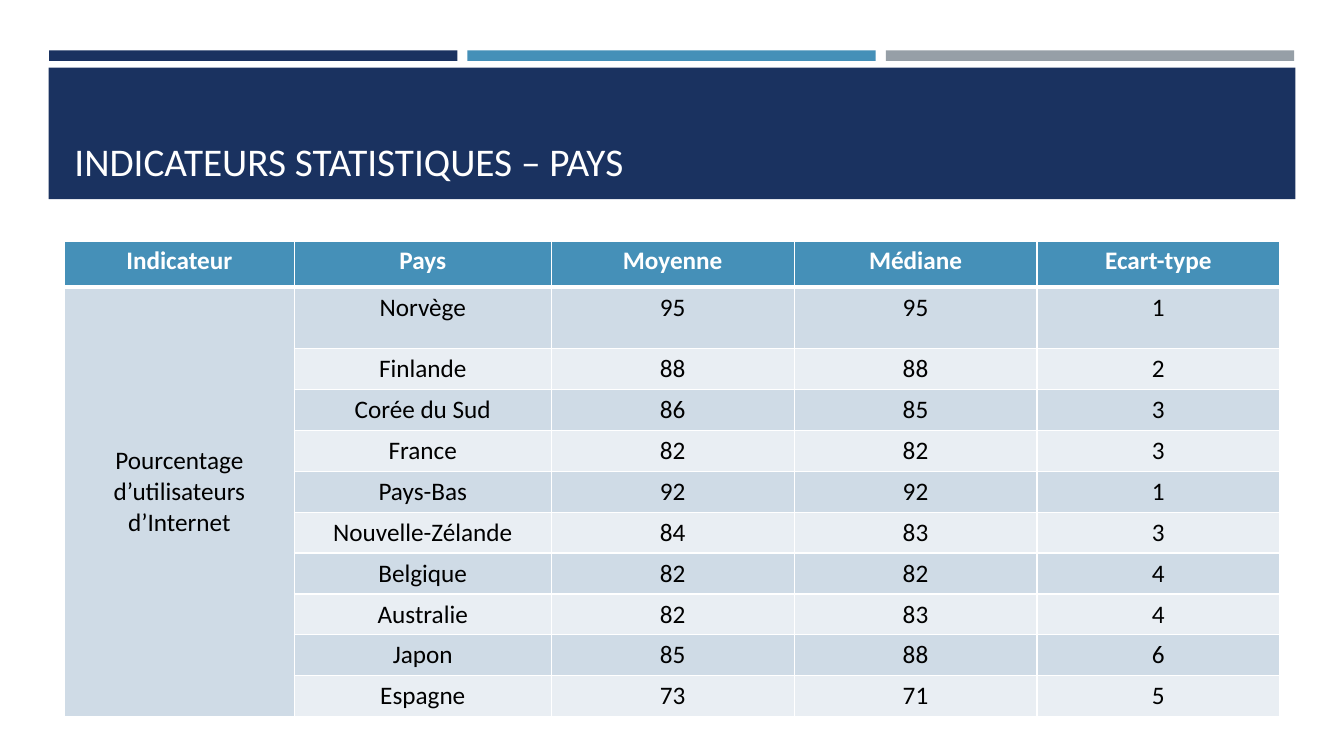
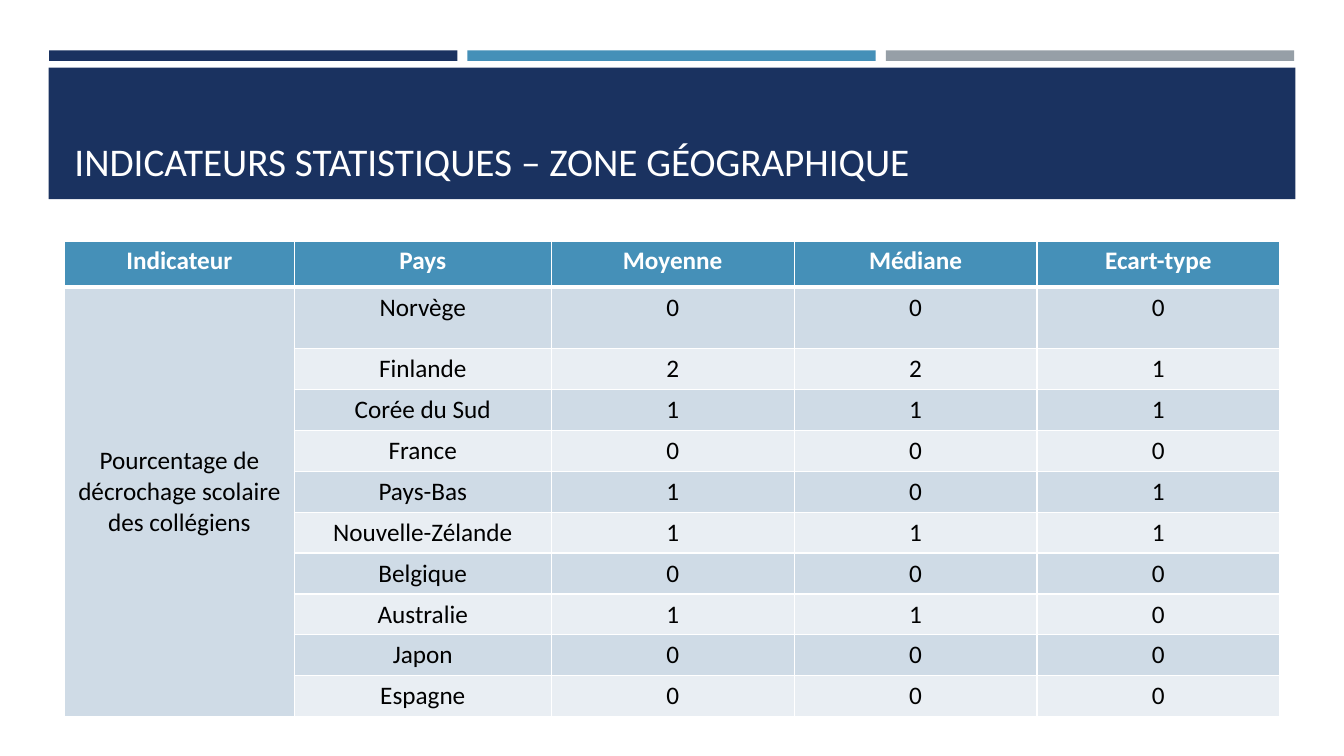
from lxml import etree
from pptx import Presentation
from pptx.dml.color import RGBColor
from pptx.enum.shapes import MSO_SHAPE
from pptx.enum.text import MSO_ANCHOR, PP_ALIGN
from pptx.oxml.ns import qn
from pptx.util import Inches, Pt

# Shared style
NAVY = RGBColor(0x1A, 0x32, 0x60)
BLUE = RGBColor(0x45, 0x90, 0xB8)
GREY = RGBColor(0x96, 0x9F, 0xA7)
BAND_DARK = RGBColor(0xCF, 0xDB, 0xE6)
BAND_LIGHT = RGBColor(0xE9, 0xEE, 0xF3)
WHITE = RGBColor(0xFF, 0xFF, 0xFF)
BLACK = RGBColor(0, 0, 0)
FONT = "Calibri"
TITLE_SIZE, TABLE_SIZE = 28, 18

# Places as percentages of the slide: left, top, width, height
BAND = (3.62, 8.95, 92.77, 17.4)
TITLE = (4.8, 10.27, 90.45, 14.8)
TABLE = (4.8, 31.87, 90.45, 62.93)
BAR_LEFT, BAR_TOP, BAR_WIDTH, BAR_HEIGHT, BAR_PITCH = 3.65, 6.67, 30.38, 1.4, 31.13

# Table columns and tall rows as percentages of the table
COLUMN_SHARES = (18.9, 21.14, 19.98, 19.98, 19.98)
HEADER_SHARE, FIRST_SHARE = 9.75, 12.92


class Deck:
    def __init__(self):
        self.prs = Presentation()
        self.prs.slide_width = Inches(13.33)
        self.prs.slide_height = Inches(7.5)
        self.slide = None

    def place(self, left, top, width, height):
        w, h = self.prs.slide_width, self.prs.slide_height
        return [int(size * share / 100) for size, share in
                ((w, left), (h, top), (w, width), (h, height))]

    def add_text(self, frame, text, size, color, bold=False, align=PP_ALIGN.LEFT):
        paragraph = frame.paragraphs[0]
        paragraph.alignment = align
        run = paragraph.add_run()
        run.text = text
        font = run.font
        font.name, font.size, font.bold = FONT, Pt(size), bold
        font.color.rgb = color

    def rectangle(self, area, color):
        shape = self.slide.shapes.add_shape(MSO_SHAPE.RECTANGLE, *self.place(*area))
        shape.shadow.inherit = False
        shape.fill.solid()
        shape.fill.fore_color.rgb = color
        shape.line.fill.background()

    def title(self, text):
        frame = self.slide.shapes.add_textbox(*self.place(*TITLE)).text_frame
        frame.word_wrap = True
        frame.vertical_anchor = MSO_ANCHOR.BOTTOM
        self.add_text(frame, text, TITLE_SIZE, WHITE)

    def new_slide(self, title):
        self.slide = self.prs.slides.add_slide(self.prs.slide_layouts[6])
        for i, color in enumerate((NAVY, BLUE, GREY)):
            self.rectangle((BAR_LEFT + i * BAR_PITCH, BAR_TOP, BAR_WIDTH, BAR_HEIGHT), color)
        self.rectangle(BAND, NAVY)
        self.title(title)

    def borders(self, cell, top, bottom):
        properties = cell._tc.get_or_add_tcPr()
        for side, points in (("L", 1), ("R", 1), ("T", top), ("B", bottom)):
            line = etree.SubElement(properties, qn(f"a:ln{side}"), w=str(Pt(points)))
            fill = etree.SubElement(line, qn("a:solidFill"))
            etree.SubElement(fill, qn("a:srgbClr"), val=str(WHITE))

    def cell(self, cell, text, row, fill):
        header = row == 0
        self.borders(cell, top=3 if row == 1 else 1, bottom=3 if header else 1)
        cell.fill.solid()
        cell.fill.fore_color.rgb = fill
        if text:
            self.add_text(cell.text_frame, text, TABLE_SIZE, WHITE if header else BLACK,
                          header, PP_ALIGN.CENTER)

    def table(self, headings, indicator, records):
        area = self.place(*TABLE)
        rows = [headings] + [("", *record) for record in records]
        table = self.slide.shapes.add_table(len(rows), len(headings), *area).table
        table.horz_banding = False

        # Column widths and row heights
        for column, share in zip(table.columns, COLUMN_SHARES):
            column.width = int(area[2] * share / 100)
        other_share = (100 - HEADER_SHARE - FIRST_SHARE) / (len(records) - 1)
        shares = [HEADER_SHARE, FIRST_SHARE] + [other_share] * (len(records) - 1)
        for row, share in zip(table.rows, shares):
            row.height = int(area[3] * share / 100)

        # Cells
        for r, values in enumerate(rows):
            for c, value in enumerate(values):
                if r == 0:
                    fill = BLUE
                else:
                    fill = BAND_DARK if c == 0 or r % 2 else BAND_LIGHT
                self.cell(table.cell(r, c), str(value), r, fill)

        # Indicator spanning all countries
        label = table.cell(1, 0)
        label.merge(table.cell(len(records), 0))
        label.vertical_anchor = MSO_ANCHOR.MIDDLE
        label.margin_bottom = Inches(0.25)
        self.add_text(label.text_frame, indicator, TABLE_SIZE, BLACK, align=PP_ALIGN.CENTER)


# Content
HEADINGS = ("Indicateur", "Pays", "Moyenne", "Médiane", "Ecart-type")
COUNTRIES = ("Norvège", "Finlande", "Corée du Sud", "France", "Pays-Bas",
             "Nouvelle-Zélande", "Belgique", "Australie", "Japon", "Espagne")
SLIDES = (
    ("PAYS", "Pourcentage d’utilisateurs d’Internet",
     ((95, 95, 1), (88, 88, 2), (86, 85, 3), (82, 82, 3), (92, 92, 1),
      (84, 83, 3), (82, 82, 4), (82, 83, 4), (85, 88, 6), (73, 71, 5))),
    ("ZONE GÉOGRAPHIQUE", "Pourcentage de décrochage scolaire des collégiens",
     ((0, 0, 0), (2, 2, 1), (1, 1, 1), (0, 0, 0), (1, 0, 1),
      (1, 1, 1), (0, 0, 0), (1, 1, 0), (0, 0, 0), (0, 0, 0))),
)

deck = Deck()
for subject, indicator, statistics in SLIDES:
    deck.new_slide(f"INDICATEURS STATISTIQUES – {subject}")
    records = [(country, *values) for country, values in zip(COUNTRIES, statistics)]
    deck.table(HEADINGS, indicator, records)
deck.prs.save("out.pptx")
